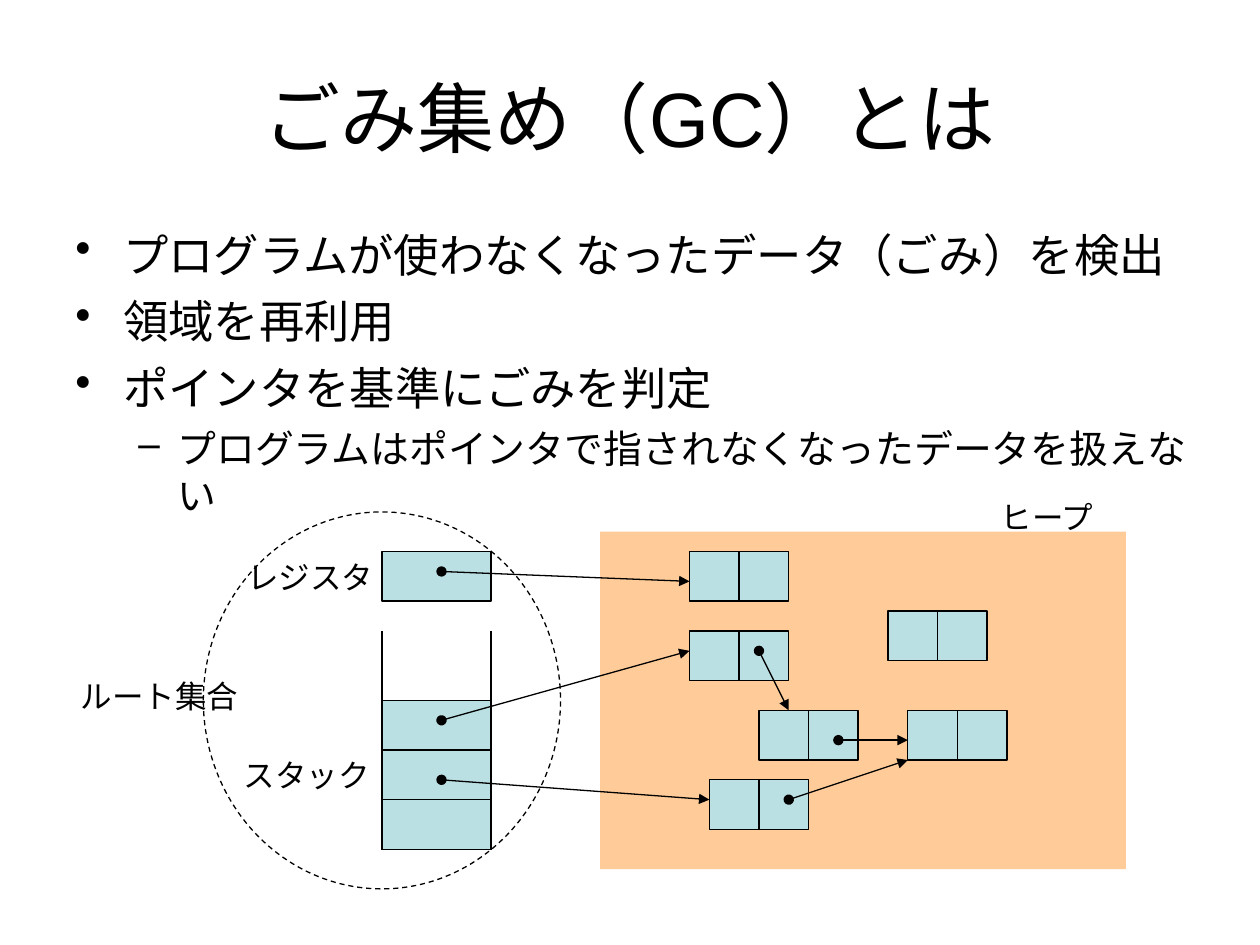
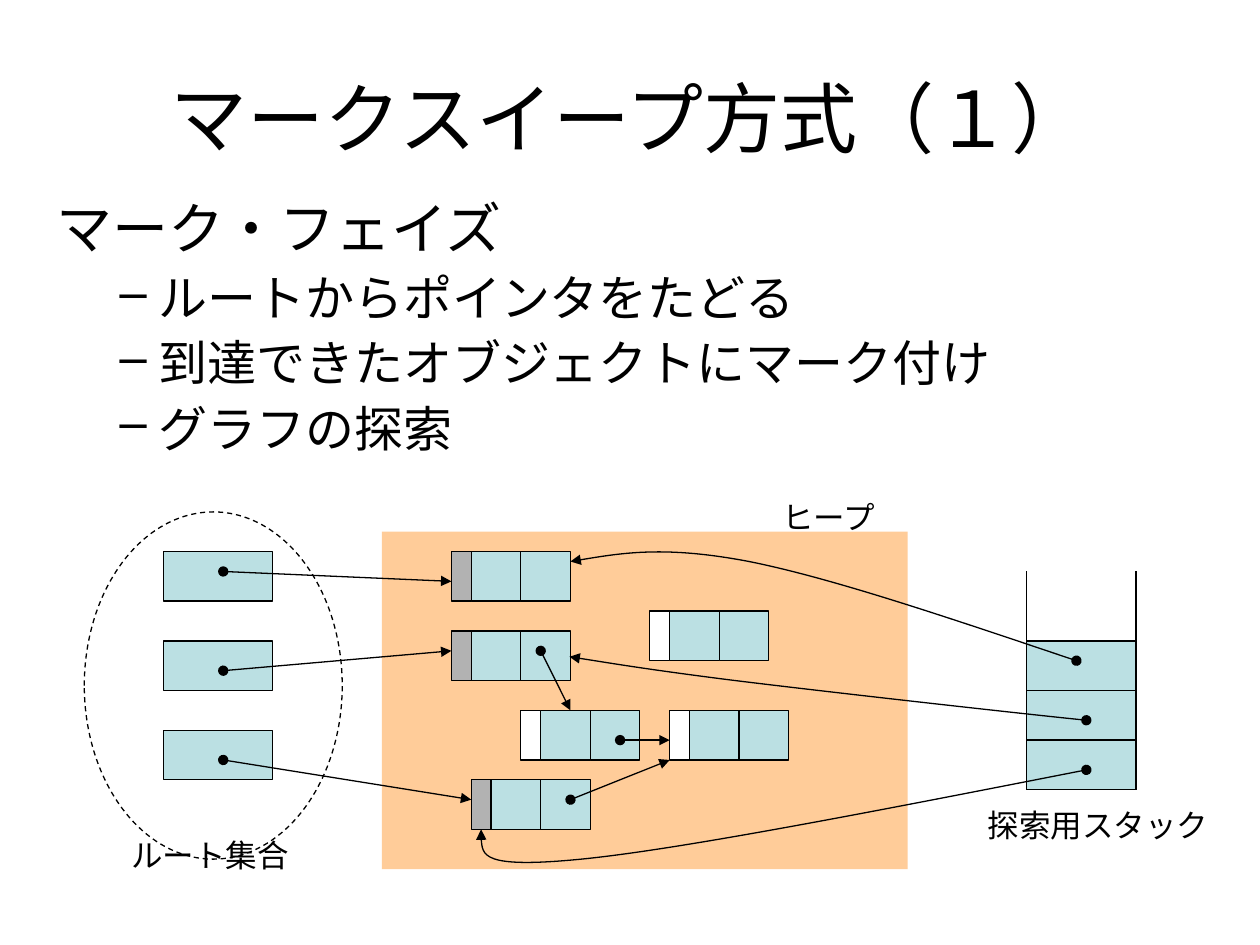
from dataclasses import dataclass

from pptx import Presentation
from pptx.dml.color import RGBColor
from pptx.enum.dml import MSO_LINE
from pptx.enum.shapes import MSO_CONNECTOR, MSO_SHAPE
from pptx.enum.text import MSO_ANCHOR, MSO_AUTO_SIZE, PP_ALIGN
from pptx.oxml.ns import qn
from pptx.util import Inches, Mm, Pt
from lxml.etree import SubElement


@dataclass(frozen=True)
class Theme:
    """Colours, font and type sizes shared by both slides."""
    ink: RGBColor = RGBColor(0, 0, 0)
    cell: RGBColor = RGBColor(0xBB, 0xE0, 0xE3)
    heap: RGBColor = RGBColor(0xFF, 0xCC, 0x99)
    marked: RGBColor = RGBColor(0xB2, 0xB2, 0xB2)
    unmarked: RGBColor = RGBColor(0xFF, 0xFF, 0xFF)
    font: str = "Arial"
    title_size: float = 44
    label_size: float = 18
    line_width: float = 0.75


@dataclass(frozen=True)
class Grid:
    """A grid of 2 mm steps whose origin is the corner of the heap."""
    left: float
    top: float

    def x(self, column):
        """Return the slide position of a column."""
        return Mm(2 * (self.left + column))

    def y(self, row):
        """Return the slide position of a row."""
        return Mm(2 * (self.top + row))

    def box(self, column, row, columns, rows):
        """Return left, top, width and height of a block."""
        return self.x(column), self.y(row), Mm(2 * columns), Mm(2 * rows)


@dataclass(frozen=True)
class Level:
    """Look of one level of the body text."""
    size: float
    space_before: float
    bullet: str = ""
    depth: int = 0


THEME = Theme()
INDENTS = [(0.38, -0.38), (0.81, -0.31)]
CELL_ROWS = 5
SLOT_COLUMNS = 11
MARK_COLUMNS = 2
HEAP_PAIRS = [(9, 2), (9, 10), (29, 8), (16, 18), (31, 18), (11, 25)]
MARKED_PAIRS = {(9, 2), (9, 10), (11, 25)}


def style_line(line, dash=None):
    """Give a line the shared colour and width."""
    line.color.rgb = THEME.ink
    line.width = Pt(THEME.line_width)
    if dash:
        line.dash_style = dash


def add_block(shapes, grid, box, fill, outlined=True):
    """Add a filled rectangle on the grid."""
    block = shapes.add_shape(MSO_SHAPE.RECTANGLE, *grid.box(*box))
    block.shadow.inherit = False
    block.fill.solid()
    block.fill.fore_color.rgb = fill
    if outlined:
        style_line(block.line)
    else:
        block.line.fill.background()


def add_text(slide, box, size, text="", wrap=True):
    """Add a text box and return its frame."""
    frame = slide.shapes.add_textbox(*box).text_frame
    frame.word_wrap = wrap
    frame.text = text
    style_font(frame.paragraphs[0], size)
    return frame


def style_font(paragraph, size):
    """Set the shared font on a paragraph."""
    paragraph.font.name = THEME.font
    paragraph.font.size = Pt(size)
    paragraph.font.color.rgb = THEME.ink


def add_title(slide, text):
    """Add the centred slide title."""
    box = [Inches(value) for value in (0.5, 0.3, 9, 1.25)]
    frame = add_text(slide, box, THEME.title_size, text)
    frame.vertical_anchor = MSO_ANCHOR.MIDDLE
    frame.paragraphs[0].alignment = PP_ALIGN.CENTER


def add_body(slide, box, entries, line_spacing=None):
    """Add the body text from pairs of level and wording."""
    frame = add_text(slide, [Inches(value) for value in box], entries[0][0].size)
    for index, (level, text) in enumerate(entries):
        paragraph = frame.add_paragraph() if index else frame.paragraphs[0]
        paragraph.text = text
        paragraph.level = level.depth
        paragraph.space_before = Pt(level.space_before)
        if line_spacing:
            paragraph.line_spacing = line_spacing
        style_font(paragraph, level.size)
        properties = paragraph._p.get_or_add_pPr()
        margin, indent = INDENTS[level.depth]
        properties.set("marL", str(Inches(margin)))
        properties.set("indent", str(Inches(indent)))
        if level.bullet:
            SubElement(properties, qn("a:buChar")).set("char", level.bullet)
        else:
            SubElement(properties, qn("a:buNone"))


def add_label(slide, grid, column, row, columns, text):
    """Add a one-line diagram label."""
    frame = add_text(slide, grid.box(column, row, columns, CELL_ROWS),
                     THEME.label_size, text, wrap=False)
    frame.auto_size = MSO_AUTO_SIZE.SHAPE_TO_FIT_TEXT


def add_arrow_ends(shape):
    """Put a dot at the start and a triangle at the end."""
    line = shape.line._get_or_add_ln()
    SubElement(line, qn("a:headEnd")).set("type", "oval")
    SubElement(line, qn("a:tailEnd")).set("type", "triangle")


def add_pointers(slide, grid, pointers):
    """Add straight pointers given as start and end columns and rows."""
    for start_column, start_row, end_column, end_row in pointers:
        pointer = slide.shapes.add_connector(
            MSO_CONNECTOR.STRAIGHT, grid.x(start_column), grid.y(start_row),
            grid.x(end_column), grid.y(end_row))
        style_line(pointer.line)
        add_arrow_ends(pointer)
        SubElement(pointer._element.spPr, qn("a:effectLst"))


def add_outline(slide, grid, points):
    """Add an open, unfilled outline through grid points."""
    places = [(grid.x(column), grid.y(row)) for column, row in points]
    builder = slide.shapes.build_freeform(*places[0])
    builder.add_line_segments(places[1:], close=False)
    outline = builder.convert_to_shape()
    outline.shadow.inherit = False
    outline.fill.background()
    style_line(outline.line)
    return outline


def add_curved_pointer(slide, grid, points):
    """Add a pointer of cubic curves from a start and control points."""
    pointer = add_outline(slide, grid, points)
    outline = next(pointer._element.iter(qn("a:path")))
    segments = outline.findall(qn("a:lnTo"))
    for first in range(0, len(segments), 3):
        curve = SubElement(outline, qn("a:cubicBezTo"))
        for segment in segments[first:first + 3]:
            curve.append(segment[0])
            outline.remove(segment)
    add_arrow_ends(pointer)


def add_slots(slide, grid, column, rows):
    """Add wide cells in one column."""
    for row in rows:
        add_block(slide.shapes, grid, (column, row, SLOT_COLUMNS, CELL_ROWS), THEME.cell)


def add_stack(slide, grid, column, row):
    """Add an open-topped stack holding three cells."""
    bottom, right = row + 22, column + SLOT_COLUMNS
    add_outline(slide, grid, [(column, row), (column, bottom), (right, bottom), (right, row)])
    add_slots(slide, grid, column, [bottom - CELL_ROWS * count for count in (1, 2, 3)])


def add_root_set(slide, grid, box):
    """Add the dashed ellipse around the root set."""
    ellipse = slide.shapes.add_shape(MSO_SHAPE.OVAL, *grid.box(*box))
    ellipse.shadow.inherit = False
    ellipse.fill.background()
    style_line(ellipse.line, MSO_LINE.DASH)


def add_heap(slide, grid, with_marks=False):
    """Add the heap, its object pairs and optional mark bits."""
    add_block(slide.shapes, grid, (0, 0, 53, 34), THEME.heap, outlined=False)
    for column, row in HEAP_PAIRS:
        pair = slide.shapes.add_group_shape()
        for left in (column, column + CELL_ROWS):
            add_block(pair.shapes, grid, (left, row, CELL_ROWS, CELL_ROWS), THEME.cell)
        if with_marks:
            fill = THEME.marked if (column, row) in MARKED_PAIRS else THEME.unmarked
            add_block(slide.shapes, grid,
                      (column - MARK_COLUMNS, row, MARK_COLUMNS, CELL_ROWS), fill)
    shift = MARK_COLUMNS if with_marks else 0
    add_pointers(slide, grid, [(16, 12, 19, 18), (19, 27, 31 - shift, 23),
                               (24, 21, 31 - shift, 21)])
    add_label(slide, grid, 39.1, -4, 12, "ヒープ")


def build_collection_slide(slide):
    """Build the slide that explains garbage collection."""
    point = Level(25.9, 7, "•")
    detail = Level(22.2, 6, "–", 1)
    add_title(slide, "ごみ集め（GC）とは")
    add_body(slide, (0.5, 1.75, 9.23, 2.39), [
        (point, "プログラムが使わなくなったデータ（ごみ）を検出"),
        (point, "領域を再利用"),
        (point, "ポインタを基準にごみを判定"),
        (detail, "プログラムはポインタで指されなくなったデータを扱えない"),
    ])
    grid = Grid(60.5, 53.6)
    add_heap(slide, grid)
    add_slots(slide, grid, -22, [2])
    add_stack(slide, grid, -22, 10)
    add_root_set(slide, grid, (-40, -2, 36, 38))
    add_pointers(slide, grid, [(-16, 4, 9, 5), (-16, 19, 9, 12), (-16, 25, 11, 27)])
    add_label(slide, grid, -36.8, 2, 15.2, "レジスタ")
    add_label(slide, grid, -37.2, 22, 15.2, "スタック")
    add_label(slide, grid, -53.6, 14, 18.4, "ルート集合")


def build_mark_slide(slide):
    """Build the slide that explains the mark phase."""
    heading = Level(32, 8)
    step = Level(28, 7, "–", 1)
    add_title(slide, "マークスイープ方式（１）")
    add_body(slide, (0.35, 1.55, 9.21, 2.31), [
        (heading, "マーク・フェイズ"),
        (step, "ルートからポインタをたどる"),
        (step, "到達できたオブジェクトにマーク付け"),
        (step, "グラフの探索"),
    ], line_spacing=0.9)
    grid = Grid(38.5, 53.6)
    add_heap(slide, grid, with_marks=True)
    add_slots(slide, grid, -22, range(2, 21, 9))
    add_root_set(slide, grid, (-30, -2, 26, 35))
    add_pointers(slide, grid, [(-16, 4, 7, 5), (-16, 14, 7, 12), (-16, 23, 9, 27)])
    add_label(slide, grid, -26.5, 30, 18.4, "ルート集合")
    add_stack(slide, grid, 65, 4)
    add_label(slide, grid, 59.8, 27, 24.8, "探索用スタック")
    for points in (
        [(70, 13), (57.8, 8.9), (45.5, 4.7), (37, 3), (28.6, 1.4), (23.7, 2.2), (19, 3)],
        [(71, 19), (65, 18.4), (43.6, 16), (34.8, 14.9), (26.2, 13.8), (22.2, 13.1),
         (18.9, 12.6)],
        [(71, 24), (50.6, 28), (30.2, 32), (20.1, 33), (9.9, 34), (9.9, 32), (10, 30)],
    ):
        add_curved_pointer(slide, grid, points)


def main():
    """Build and save the presentation."""
    presentation = Presentation()
    presentation.slide_width = Inches(10)
    presentation.slide_height = Inches(7.5)
    for build in (build_collection_slide, build_mark_slide):
        build(presentation.slides.add_slide(presentation.slide_layouts[6]))
    presentation.save("out.pptx")


if __name__ == "__main__":
    main()
